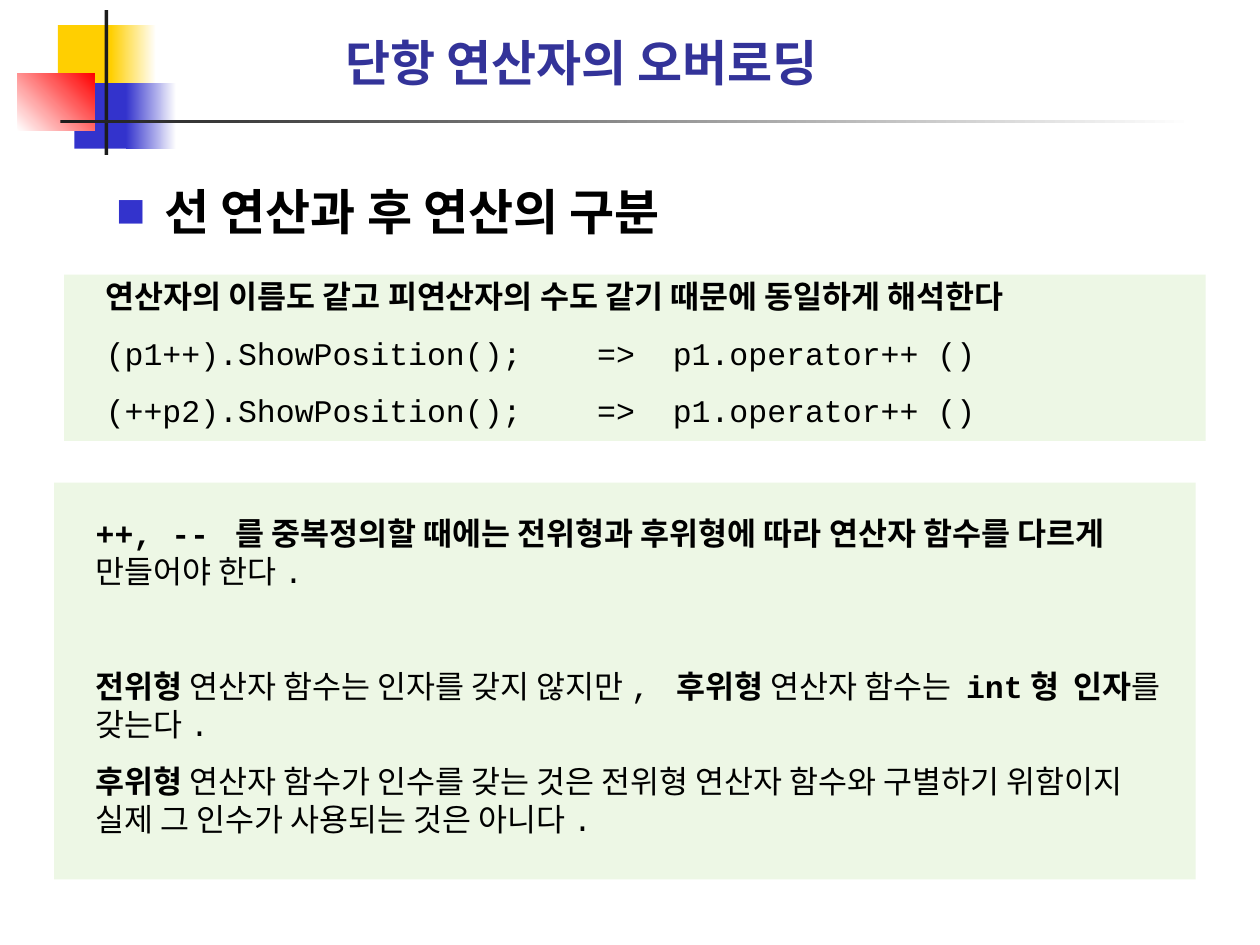
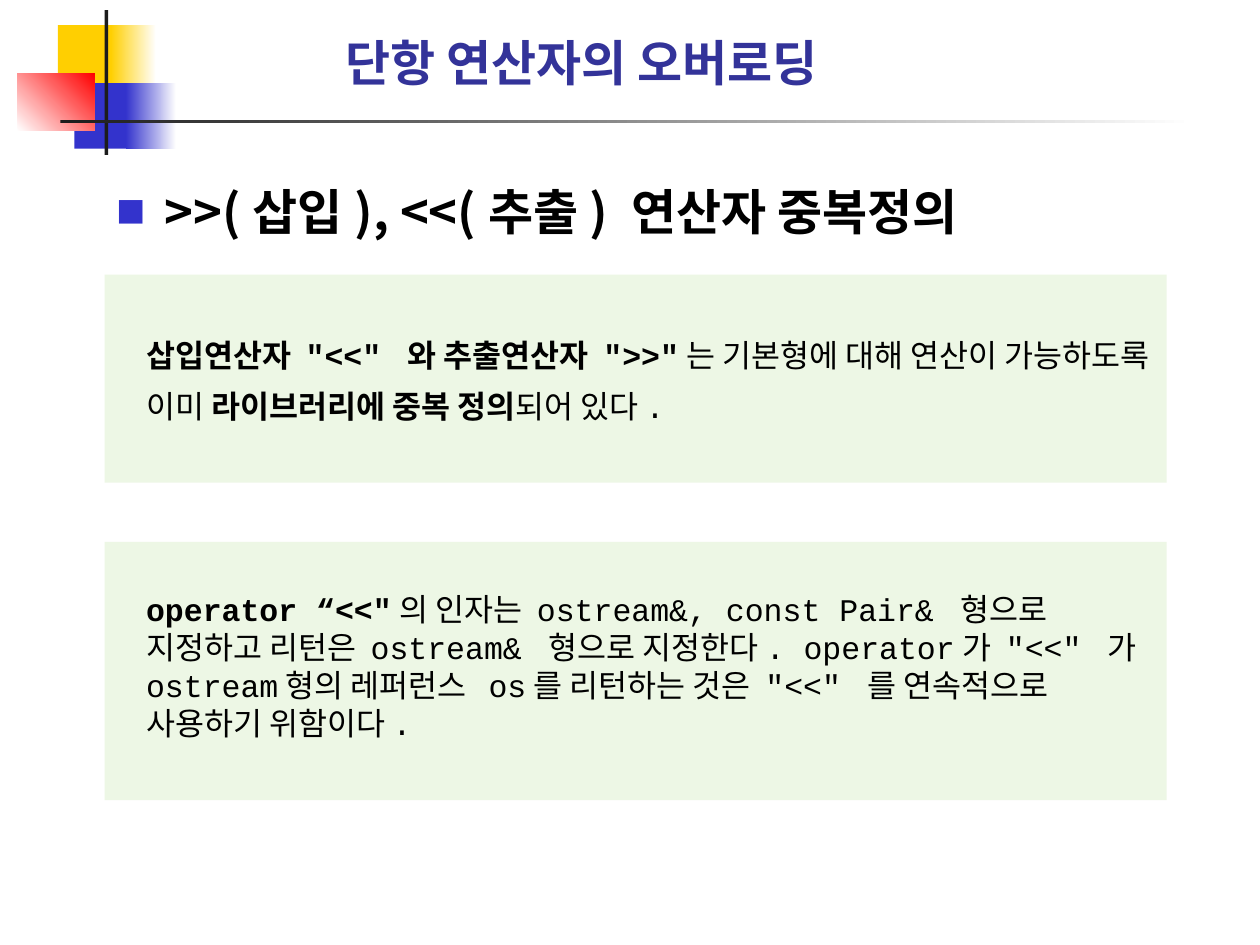
from typing import NamedTuple

from lxml import etree
from pptx import Presentation
from pptx.dml.color import RGBColor
from pptx.enum.shapes import MSO_SHAPE
from pptx.enum.text import MSO_ANCHOR, MSO_AUTO_SIZE
from pptx.oxml.ns import qn
from pptx.util import Inches, Pt

RECTANGLE = MSO_SHAPE.RECTANGLE
MIDDLE = MSO_ANCHOR.MIDDLE
GROW = MSO_AUTO_SIZE.SHAPE_TO_FIT_TEXT

CODE_FONT = "Courier New"
KOREAN_FONT = "Noto Sans CJK KR"
BLACK, WHITE, CHARCOAL = "000000", "FFFFFF", "1C1C1C"
YELLOW, BLUE, RED = "FFCF01", "3333CC", "FF0000"
TITLE_BLUE, PALE_GREEN = "333399", "EDF7E5"
BODY_GAP = 11.2


class Area(NamedTuple):
    left: float
    top: float
    width: float
    height: float


class Block(NamedTuple):
    """A decoration: solid when it has no end colour."""
    area: Area
    color: str
    end_color: str = ""
    angle: float = 0


class Span(NamedTuple):
    text: str
    bold: bool = False


class Para(NamedTuple):
    spans: list[Span]
    gap: float = BODY_GAP
    line_spacing: float = 1.0
    tabs: tuple[float, ...] = ()


class Panel(NamedTuple):
    area: Area
    paras: list[Para]


class Page(NamedTuple):
    heading: str
    panels: list[Panel]


DECORATIONS = [
    Block(Area(0.46, 0.2, 0.48, 0.52), YELLOW),
    Block(Area(0.88, 0.2, 0.36, 0.52), YELLOW, WHITE),
    Block(Area(0.59, 0.66, 0.46, 0.52), BLUE),
    Block(Area(1, 0.66, 0.4, 0.52), BLUE, WHITE),
    Block(Area(0.14, 0.58, 0.61, 0.46), WHITE, RED, 45),
    Block(Area(0.83, 0.08, 0.03, 1.15), CHARCOAL),
    Block(Area(0.48, 0.95, 9, 0.03), CHARCOAL, WHITE),
]
TITLE = "단항 연산자의 오버로딩"
TITLE_AREA = Area(2.64, 0.21, 5.55, 0.57)
HEADING_AREA = Area(0.83, 1.3, 8.5, 0.66)
CODE_TABS = (3.9, 4.5)

PAGES = [
    Page("선 연산과 후 연산의 구분", [
        Panel(Area(0.51, 2.18, 9.06, 1.32), [
            Para([Span("연산자의 이름도 같고 피연산자의 수도 같기 때문에 동일하게 해석한다", True)]),
            Para([Span("(p1++).ShowPosition();\t=>\tp1.operator++ ()")], tabs=CODE_TABS),
            Para([Span("(++p2).ShowPosition();\t=>\tp1.operator++ ()")], tabs=CODE_TABS),
        ]),
        Panel(Area(0.43, 3.83, 9.06, 3.15), [
            Para([
                Span("++, -- 를 중복정의할 때에는 전위형과 후위형에 따라 연산자 함수를 다르게 ", True),
                Span("만들어야 한다."),
            ]),
            Para([
                Span("전위형", True),
                Span(" 연산자 함수는 인자를 갖지 않지만, "),
                Span("후위형", True),
                Span(" 연산자 함수는 "),
                Span("int형  인자", True),
                Span("를 갖는다."),
            ], gap=43.8),
            Para([
                Span("후위형 ", True),
                Span("연산자 함수가 인수를 갖는 것은 전위형 연산자 함수와 구별하기 위함이지 "
                     "실제 그 인수가 사용되는 것은 아니다."),
            ]),
        ]),
    ]),
    Page(">>(삽입), <<(추출) 연산자 중복정의", [
        Panel(Area(0.83, 2.18, 8.43, 1.65), [
            Para([
                Span('삽입연산자 "<<" 와 추출연산자 ">>"', True),
                Span("는 기본형에 대해 연산이 가능하도록 이미 "),
                Span("라이브러리에 중복 정의", True),
                Span("되어 있다."),
            ], line_spacing=1.35),
        ]),
        Panel(Area(0.83, 4.3, 8.43, 2.05), [
            Para([
                Span('operator “<<"', True),
                Span("의 인자는 ostream&, const Pair& 형으로 지정하고 리턴은 ostream& 형으로 "
                     '지정한다. operator가 "<<" 가 ostream형의 레퍼런스  os를 리턴하는 것은 '
                     '"<<" 를 연속적으로 사용하기 위함이다.'),
            ]),
        ]),
    ]),
]


def rgb(color: str) -> RGBColor:
    return RGBColor.from_string(color)


def inches(area: Area) -> list[int]:
    return [Inches(length) for length in area]


def add_rectangle(slide, block: Block):
    box = slide.shapes.add_shape(RECTANGLE, *inches(block.area))
    box.shadow.inherit = False
    box.line.fill.background()
    if block.end_color:
        box.fill.gradient()
        box.fill.gradient_angle = block.angle
        for stop, color in zip(box.fill.gradient_stops, (block.color, block.end_color)):
            stop.color.rgb = rgb(color)
    else:
        box.fill.solid()
        box.fill.fore_color.rgb = rgb(block.color)
    return box


def add_tabs(paragraph, stops: tuple[float, ...]) -> None:
    tab_list = etree.SubElement(paragraph._p.get_or_add_pPr(), qn("a:tabLst"))
    for stop in stops:
        etree.SubElement(tab_list, qn("a:tab"), pos=str(Inches(stop)), algn="l")


def add_bullet(paragraph) -> None:
    properties = paragraph._p.get_or_add_pPr()
    indent = Inches(0.38)
    properties.set("marL", str(indent))
    properties.set("indent", str(-indent))
    bullet_color = etree.SubElement(properties, qn("a:buClr"))
    etree.SubElement(bullet_color, qn("a:srgbClr"), val=BLUE)
    etree.SubElement(properties, qn("a:buSzPct"), val="60000")
    etree.SubElement(properties, qn("a:buFont"), typeface=KOREAN_FONT)
    etree.SubElement(properties, qn("a:buChar"), char="■")


def write(paragraph, para: Para, size: float, font: str = CODE_FONT, color: str = BLACK) -> None:
    paragraph.space_before = Pt(para.gap)
    paragraph.line_spacing = para.line_spacing
    if para.tabs:
        add_tabs(paragraph, para.tabs)
    for span in para.spans:
        run = paragraph.add_run()
        run.text = span.text
        run.font.size = Pt(size)
        run.font.bold = span.bold
        run.font.name = font
        run.font.color.rgb = rgb(color)
        etree.SubElement(run._r.get_or_add_rPr(), qn("a:ea"), typeface=KOREAN_FONT)


def add_text_box(slide, area: Area):
    frame = slide.shapes.add_textbox(*inches(area)).text_frame
    frame.word_wrap = True
    return frame


def add_title(slide) -> None:
    frame = add_text_box(slide, TITLE_AREA)
    frame.vertical_anchor = MIDDLE
    frame.auto_size = GROW
    write(frame.paragraphs[0], Para([Span(TITLE, True)], gap=17.5), 28, color=TITLE_BLUE)


def add_heading(slide, heading: str) -> None:
    paragraph = add_text_box(slide, HEADING_AREA).paragraphs[0]
    write(paragraph, Para([Span(heading, True)], gap=7, line_spacing=1.2), 28, KOREAN_FONT)
    add_bullet(paragraph)


def add_panel(slide, panel: Panel) -> None:
    frame = add_rectangle(slide, Block(panel.area, PALE_GREEN)).text_frame
    frame.word_wrap = True
    frame.vertical_anchor = MIDDLE
    frame.margin_left, frame.margin_top = Inches(0.33), Inches(0.13)
    frame.margin_right, frame.margin_bottom = Inches(0.1), Inches(0.21)
    for index, para in enumerate(panel.paras):
        paragraph = frame.add_paragraph() if index else frame.paragraphs[0]
        paragraph._p.get_or_add_pPr().set("algn", "l")
        write(paragraph, para, 18)


def main() -> None:
    deck = Presentation()
    deck.slide_width, deck.slide_height = Inches(10), Inches(7.5)
    blank = deck.slide_layouts[6]
    for page in PAGES:
        slide = deck.slides.add_slide(blank)
        for block in DECORATIONS:
            add_rectangle(slide, block)
        add_heading(slide, page.heading)
        for panel in page.panels:
            add_panel(slide, panel)
        add_title(slide)
    deck.save("out.pptx")


if __name__ == "__main__":
    main()
